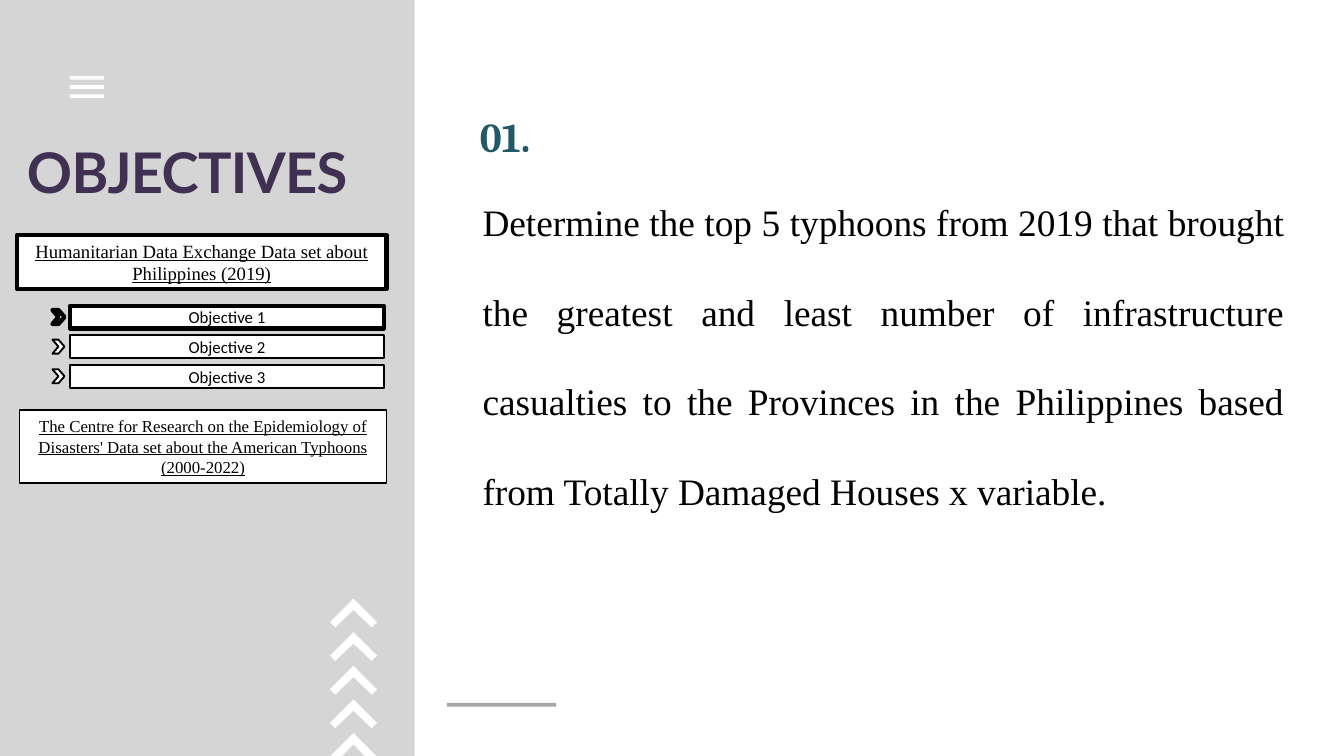
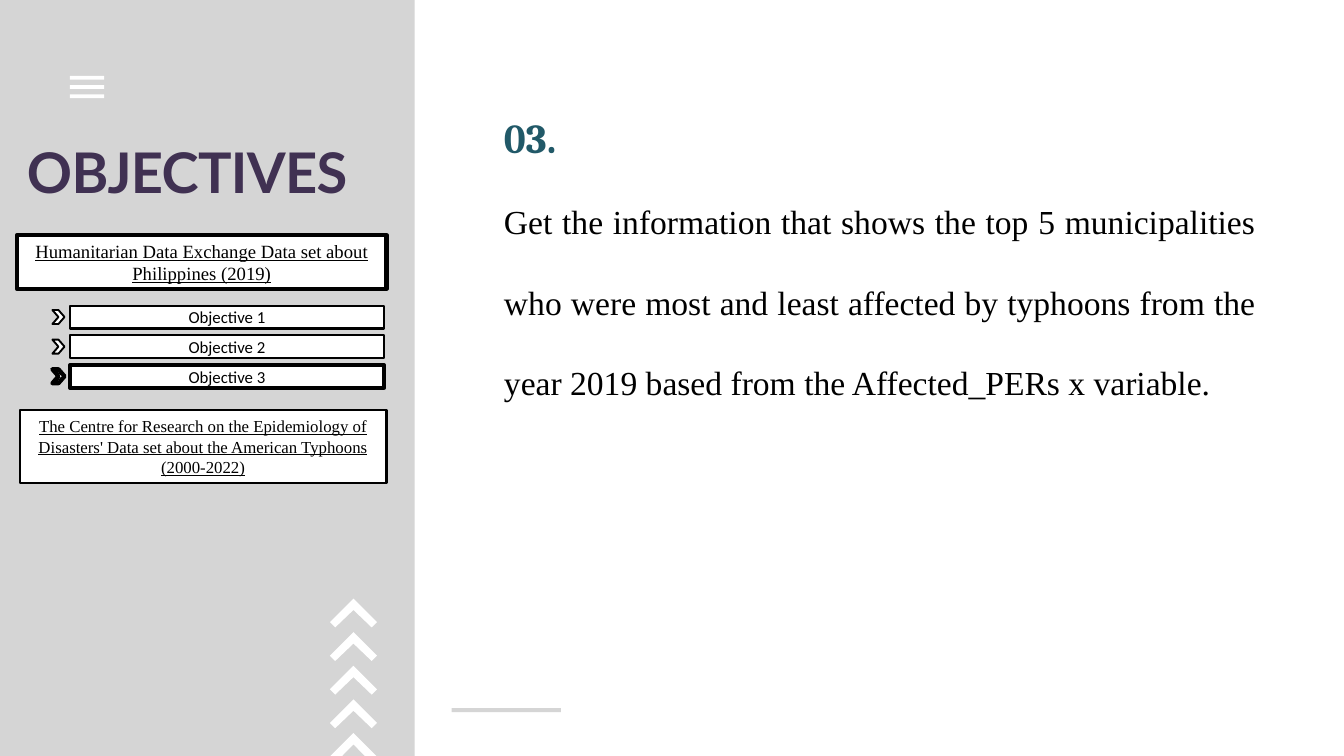
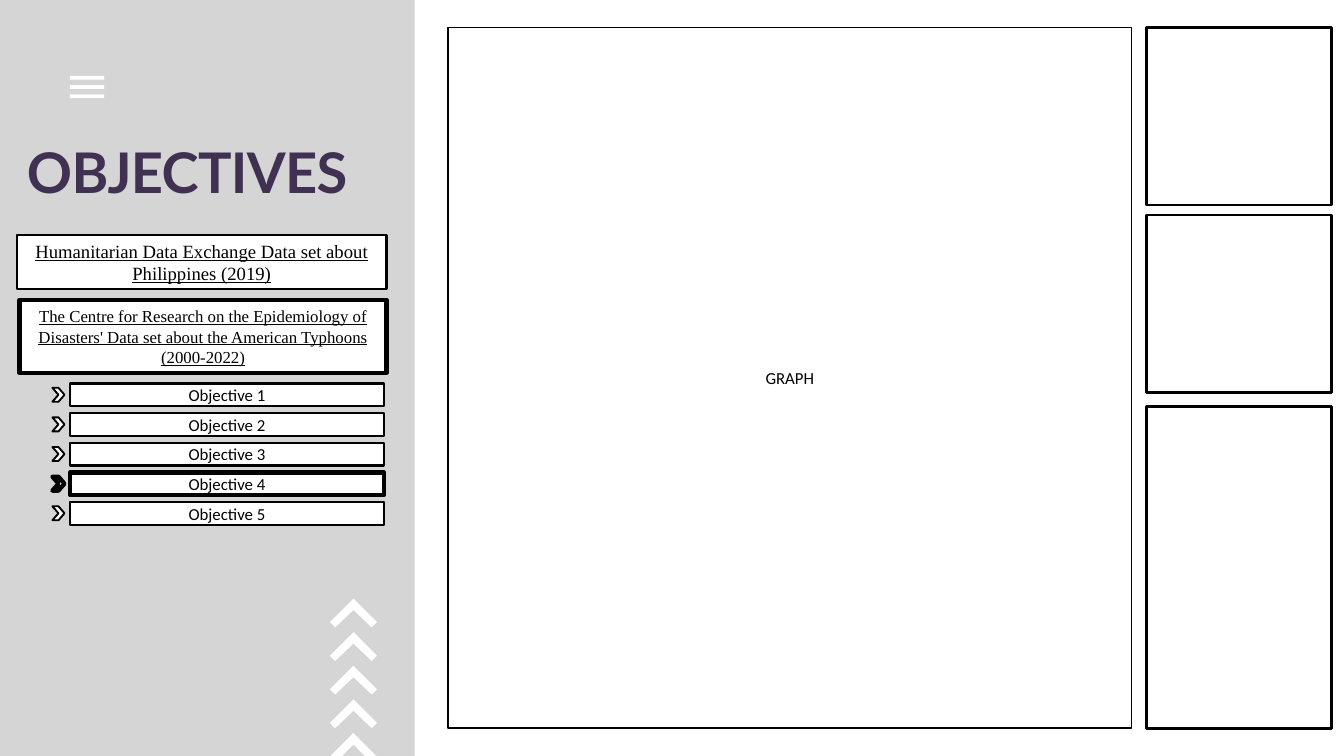
from dataclasses import dataclass

from pptx import Presentation
from pptx.dml.color import RGBColor
from pptx.enum.shapes import MSO_SHAPE
from pptx.enum.text import MSO_ANCHOR, MSO_AUTO_SIZE, PP_ALIGN
from pptx.util import Cm, Pt

RECTANGLE, CHEVRON = MSO_SHAPE.RECTANGLE, MSO_SHAPE.CHEVRON
MIDDLE, FIT_SHAPE = MSO_ANCHOR.MIDDLE, MSO_AUTO_SIZE.SHAPE_TO_FIT_TEXT
LEFT, CENTER, JUSTIFY = PP_ALIGN.LEFT, PP_ALIGN.CENTER, PP_ALIGN.JUSTIFY

# Content: lengths in centimetres, line weights and type sizes in points
TITLE = "OBJECTIVES"
HUMANITARIAN = "Humanitarian Data Exchange Data set about Philippines (2019)"
DISASTERS = ("The Centre for Research on the Epidemiology of Disasters' "
             "Data set about the American Typhoons (2000-2022)")

SLIDES = [
    {
        "menu": {"open": HUMANITARIAN, "disasters_top": 15.49, "rows_top": 11.56,
                 "rows": 3, "current": 1, "weight": 2},
        "objective": {
            "number": "1.", "heading_at": (18.14, 4.17, 3.02, 1.9),
            "text": "Determine the top 5 typhoons from 2019 that brought the greatest "
                    "and least number of infrastructure casualties to the Provinces in "
                    "the Philippines based from Totally Damaged Houses x variable.",
            "text_at": (18.24, 5.82, 30.3, 13.18), "size": 40,
            "rule_at": (16.89, 26.57), "rule_color": "A6A6A6"},
    },
    {
        "menu": {"open": HUMANITARIAN, "disasters_top": 15.49, "rows_top": 11.56,
                 "rows": 3, "current": 3, "weight": 2.25},
        "objective": {
            "number": "3.", "heading_at": (19.05, 4.22, 3.02, 1.9),
            "text": "Get the information that shows the top 5 municipalities who were "
                    "most and least affected by typhoons from the year 2019 based from "
                    "the Affected_PERs x variable.",
            "text_at": (19.05, 6.05, 28.42, 8.79), "size": 36,
            "rule_at": (17.07, 26.77), "rule_color": "D5D5D5"},
    },
    {
        "menu": {"open": DISASTERS, "disasters_top": 11.33, "rows_top": 14.5,
                 "rows": 5, "current": 4, "weight": 2.25},
        "frames": [("", (43.33, 1.04, 6.99, 6.71), 3),
                   ("", (43.33, 8.13, 6.99, 6.71), 3),
                   ("", (43.33, 15.37, 6.99, 12.17), 3),
                   ("GRAPH", (16.94, 1.04, 25.83, 26.49), 2)],
    },
]


@dataclass(frozen=True)
class Theme:
    panel: str = "D5D5D5"
    white: str = "FFFFFF"
    black: str = "000000"
    title: str = "403152"
    heading: str = "215968"
    current_weight: float = 4.5
    chevron_weight: float = 2


THEME = Theme()
TITLE_FONT = {"name": "Lato", "size": Pt(60), "bold": True}
HEADING_FONT = {"name": "Cambria", "size": Pt(44), "bold": True}
LABEL_FONT = {"name": "Calibri", "size": Pt(18)}
SERIF = {"name": "Times New Roman"}
SLIDE_WIDTH, SLIDE_HEIGHT = 50.8, 28.58
PANEL_WIDTH = 15.67
ROW_LEFT, ROW_WIDTH, ROW_HEIGHT, ROW_PITCH = 2.65, 11.86, 0.86, 1.12


def set_values(target, values):
    for name, value in values.items():
        setattr(target, name, value)


def add_run(paragraph, text, font, color, spacing=0):
    run = paragraph.add_run()
    run.text = text
    set_values(run.font, font)
    run.font.color.rgb = RGBColor.from_string(color)
    if spacing:
        run._r.get_or_add_rPr().set("spc", str(spacing))


def paint(shape, fill, weight=None):
    shape.shadow.inherit = False
    shape.fill.solid()
    shape.fill.fore_color.rgb = RGBColor.from_string(fill)
    if weight is None:
        shape.line.fill.background()
    else:
        shape.line.color.rgb = RGBColor.from_string(THEME.black)
        shape.line.width = Pt(weight)


def add_block(slide, kind, position, fill, weight=None):
    shape = slide.shapes.add_shape(kind, *map(Cm, position))
    paint(shape, fill, weight)
    return shape


def add_box(slide, text, position, weight, font=LABEL_FONT):
    box = add_block(slide, RECTANGLE, position, THEME.white, weight)
    if text:
        set_values(box.text_frame, {"word_wrap": True, "vertical_anchor": MIDDLE})
        paragraph = box.text_frame.paragraphs[0]
        paragraph.alignment = CENTER
        add_run(paragraph, text, font, THEME.black)


def add_text(slide, position, runs, font, color, paragraph_format):
    """Each run is a pair of text and letter spacing in hundredths of a point."""
    frame = slide.shapes.add_textbox(*map(Cm, position)).text_frame
    set_values(frame, {"margin_left": 0, "margin_right": 0, "margin_bottom": 0,
                       "margin_top": Cm(0.03), "word_wrap": True,
                       "auto_size": FIT_SHAPE})
    paragraph = frame.paragraphs[0]
    set_values(paragraph, paragraph_format)
    for text, spacing in runs:
        add_run(paragraph, text, font, color, spacing)


def add_outlines(slide, outlines):
    """Draw closed white outlines as one shape."""
    outlines = [[(Cm(x), Cm(y)) for x, y in outline] for outline in outlines]
    builder = slide.shapes.build_freeform(*outlines[0][0])
    for index, (start, *rest) in enumerate(outlines):
        if index:
            builder.move_to(*start)
        builder.add_line_segments(rest, close=True)
    paint(builder.convert_to_shape(), THEME.white)


def arrow_outline(top, half_width, arm, inner_half_width, foot):
    center, notch = 13.36, 0.43
    right_side = [(half_width, arm), (0, 0), (-half_width, arm),
                  (-inner_half_width, foot), (0, notch), (inner_half_width, foot)]
    return [(center + x, top + y) for x, y in right_side]


def add_panel(slide):
    add_block(slide, RECTANGLE, (0, 0, PANEL_WIDTH, SLIDE_HEIGHT), THEME.panel)
    # Upward arrows, the last one cut by the slide's edge
    arrow_tops = [22.63 + 1.27 * index for index in range(5)]
    arrows = [arrow_outline(top, 0.89, 0.89, 0.69, 1.09) for top in arrow_tops[:-1]]
    arrows.append(arrow_outline(arrow_tops[-1], 0.87, 0.87, 0.43, 0.87))
    add_outlines(slide, arrows)
    # Menu icon
    left, right, thickness = 2.64, 3.94, 0.14
    bar_tops = [2.87 + 0.35 * index for index in range(3)]
    add_outlines(slide, [[(left, top), (right, top), (right, top + thickness),
                          (left, top + thickness)] for top in bar_tops])
    add_text(slide, (1.02, 5.18, 14.66, 2.57), [(TITLE, -70)], TITLE_FONT,
             THEME.title, {"alignment": LEFT, "space_before": Pt(1.3)})


def add_menu(slide, menu):
    # Data set headings
    headings = [(HUMANITARIAN, (0.64, 8.89, 13.97, 2.03), 20),
                (DISASTERS, (0.74, menu["disasters_top"], 13.87, 2.77), 18)]
    for text, position, size in headings:
        weight = THEME.current_weight if text == menu["open"] else menu["weight"]
        add_box(slide, text, position, weight,
                {**SERIF, "size": Pt(size), "underline": True})
    # Objectives of the open data set
    for number in range(1, menu["rows"] + 1):
        top = menu["rows_top"] + ROW_PITCH * (number - 1)
        row_weight, chevron_weight = menu["weight"], THEME.chevron_weight
        if number == menu["current"]:
            row_weight = chevron_weight = THEME.current_weight
        add_box(slide, f"Objective {number}", (ROW_LEFT, top, ROW_WIDTH, ROW_HEIGHT),
                row_weight)
        add_block(slide, CHEVRON, (1.98, top + 0.16, 0.46, 0.53), THEME.white,
                  chevron_weight)


def add_objective(slide, objective):
    add_block(slide, RECTANGLE, (*objective["rule_at"], 4.13, 0.15),
              objective["rule_color"])
    add_text(slide, objective["heading_at"], [("0", -70), (objective["number"], 30)],
             HEADING_FONT, THEME.heading, {"alignment": LEFT, "space_before": Pt(1)})
    add_text(slide, objective["text_at"], [(objective["text"], 0)],
             {**SERIF, "size": Pt(objective["size"])}, THEME.black,
             {"alignment": JUSTIFY, "line_spacing": 2.0, "space_after": Pt(8)})


def main():
    presentation = Presentation()
    presentation.slide_width = Cm(SLIDE_WIDTH)
    presentation.slide_height = Cm(SLIDE_HEIGHT)
    blank_layout = presentation.slide_layouts[6]
    for content in SLIDES:
        slide = presentation.slides.add_slide(blank_layout)
        add_panel(slide)
        add_menu(slide, content["menu"])
        if "objective" in content:
            add_objective(slide, content["objective"])
        for text, position, weight in content.get("frames", []):
            add_box(slide, text, position, weight)
    presentation.save("out.pptx")


if __name__ == "__main__":
    main()
